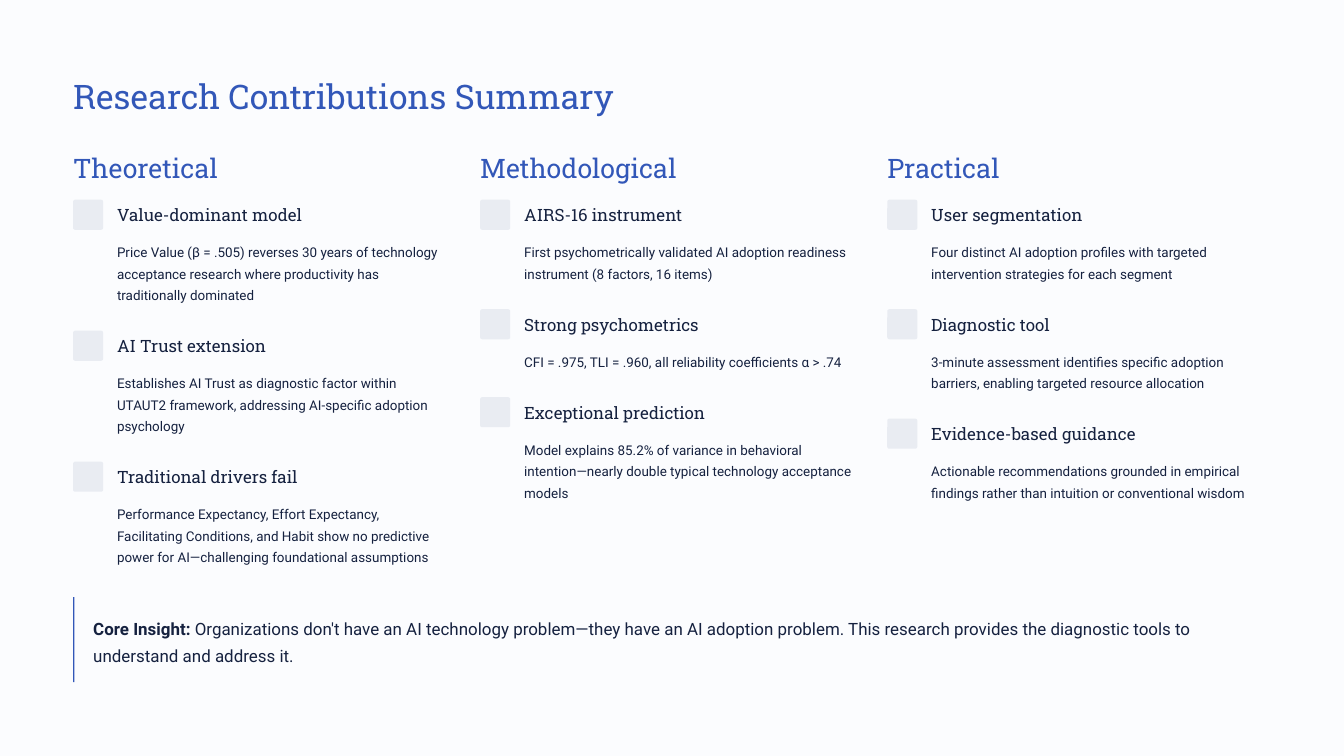
from pptx import Presentation
from pptx.dml.color import RGBColor
from pptx.enum.shapes import MSO_SHAPE
from pptx.enum.text import MSO_ANCHOR, MSO_AUTO_SIZE, PP_ALIGN
from pptx.util import Cm, Pt

BLUE = RGBColor(0x32, 0x57, 0xB8)
NAVY = RGBColor(0x15, 0x21, 0x3F)
GREY = RGBColor(0xE9, 0xEC, 0xF2)
PAPER = RGBColor(0xFB, 0xFC, 0xFE)
SLAB, SANS = "Roboto Slab", "Roboto"

LEFT, PITCH, INDENT = 2.21, 12.31, 1.33
LINE = 0.65  # height of one line of body text

# Each item: heading, body text, lines the body takes
COLUMNS = [
    ("Theoretical", 9.96, [
        ("Value-dominant model", "Price Value (β = .505) reverses 30 years of technology acceptance research where productivity has traditionally dominated", 3),
        ("AI Trust extension", "Establishes AI Trust as diagnostic factor within UTAUT2 framework, addressing AI-specific adoption psychology", 3),
        ("Traditional drivers fail", "Performance Expectancy, Effort Expectancy, Facilitating Conditions, and Habit show no predictive power for AI—challenging foundational assumptions", 3),
    ]),
    ("Methodological", 9.96, [
        ("AIRS-16 instrument", "First psychometrically validated AI adoption readiness instrument (8 factors, 16 items)", 2),
        ("Strong psychometrics", "CFI = .975, TLI = .960, all reliability coefficients α > .74", 1),
        ("Exceptional prediction", "Model explains 85.2% of variance in behavioral intention—nearly double typical technology acceptance models", 3),
    ]),
    ("Practical", 10.34, [
        ("User segmentation", "Four distinct AI adoption profiles with targeted intervention strategies for each segment", 2),
        ("Diagnostic tool", "3-minute assessment identifies specific adoption barriers, enabling targeted resource allocation", 2),
        ("Evidence-based guidance", "Actionable recommendations grounded in empirical findings rather than intuition or conventional wisdom", 2),
    ]),
]

deck = Presentation()
deck.slide_width, deck.slide_height = Cm(40.64), Cm(22.86)
slide = deck.slides.add_slide(deck.slide_layouts[5])
slide.background.fill.solid()
slide.background.fill.fore_color.rgb = PAPER


def write(text, x, y, w, h, size, pitch, font=SANS, color=NAVY, box=None):
    """Set text in box, or in a new text box, and return its paragraph."""
    box = box or slide.shapes.add_textbox(0, 0, 0, 0)
    box.left, box.top, box.width, box.height = Cm(x), Cm(y), Cm(w), Cm(h)
    frame = box.text_frame
    frame.margin_left = frame.margin_right = 0
    frame.margin_top = frame.margin_bottom = 0
    frame.word_wrap = True
    frame.auto_size = MSO_AUTO_SIZE.NONE
    frame.vertical_anchor = MSO_ANCHOR.TOP
    para = frame.paragraphs[0]
    para.alignment = PP_ALIGN.LEFT
    para.line_spacing = Pt(pitch)
    para.font.name, para.font.size = font, Pt(size)
    para.font.color.rgb = color
    para.add_run().text = text
    return para


def block(kind, x, y, w, h, color):
    shape = slide.shapes.add_shape(kind, Cm(x), Cm(y), Cm(w), Cm(h))
    shape.shadow.inherit = False
    shape.fill.solid()
    shape.fill.fore_color.rgb = color
    shape.line.fill.background()
    return shape


write("Research Contributions Summary", LEFT, 2.24, 36, 1.27, 29, 36,
      SLAB, BLUE, slide.shapes.title)

for col, (name, width, items) in enumerate(COLUMNS):
    x, y = LEFT + col * PITCH, 6.04
    write(name, x, 4.55, width, 1.02, 23, 29, SLAB, BLUE)
    for head, body, lines in items:
        tile = block(MSO_SHAPE.ROUNDED_RECTANGLE, x, y, 0.91, 0.91, GREY)
        tile.adjustments[0] = 0.07
        write(head, x + INDENT, y + 0.14, width, 0.64, 14.5, 18, SLAB)
        write(body, x + INDENT, y + 1.18, width, lines * LINE, 11.5, 18.5)
        y += 2.01 + lines * LINE

core = write("Core Insight:", 2.82, 18.52, 35.61, 1.63, 14.5, 23)
core.runs[0].font.bold = True
core.add_run().text = " Organizations don't have an AI technology problem—they have an AI adoption problem. This research provides the diagnostic tools to understand and address it."
block(MSO_SHAPE.RECTANGLE, LEFT, 18.06, 0.04, 2.57, BLUE)

deck.save("out.pptx")
